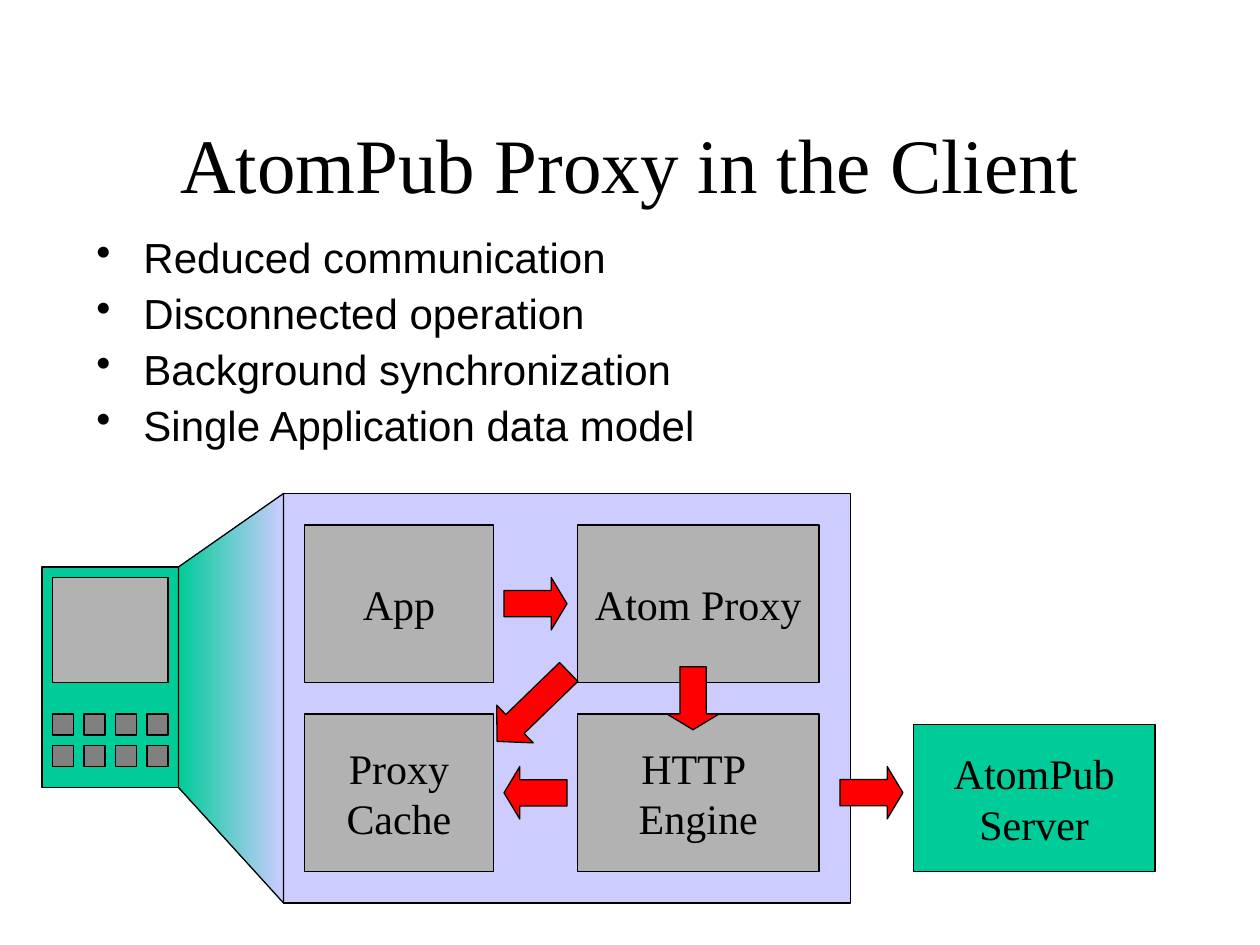
from dataclasses import dataclass

import lxml.etree
import pptx
import pptx.dml.color
import pptx.enum.shapes
import pptx.enum.text
import pptx.oxml.ns
import pptx.util


def rgb(code):
    return pptx.dml.color.RGBColor.from_string(code)


@dataclass(frozen=True)
class Theme:
    ink = rgb("000000")
    green = rgb("00CC99")
    lavender = rgb("CCCCFF")
    grey = rgb("B2B2B2")
    key_grey = rgb("808080")
    red = rgb("FF0000")
    serif = "Times New Roman"
    sans = "Arial"
    title_size = pptx.util.Pt(44)
    text_size = pptx.util.Pt(24)
    outline = pptx.util.Pt(0.75)


THEME = Theme()
PRESET = pptx.enum.shapes.MSO_SHAPE
ALIGN = pptx.enum.text.PP_ALIGN
ANCHOR = pptx.enum.text.MSO_ANCHOR
GRID_CM = 2.54 / 12


def grid(*steps):
    return [pptx.util.Cm(step * GRID_CM) for step in steps]


def style_text(frame, size, font, align):
    for paragraph in frame.paragraphs:
        paragraph.alignment = align
        for run in paragraph.runs:
            run.font.size = size
            run.font.name = font
            run.font.color.rgb = THEME.ink


def outline(shape):
    shape.shadow.inherit = False
    shape.line.color.rgb = THEME.ink
    shape.line.width = THEME.outline


def add_block(shapes, box, fill, preset=PRESET.RECTANGLE):
    block = shapes.add_shape(preset, *grid(*box))
    block.fill.solid()
    block.fill.fore_color.rgb = fill
    outline(block)
    return block


def add_node(shapes, box, label, fill):
    frame = add_block(shapes, box, fill).text_frame
    frame.text = label
    frame.word_wrap = False
    frame.vertical_anchor = ANCHOR.MIDDLE
    style_text(frame, THEME.text_size, THEME.serif, ALIGN.CENTER)


def add_arrow(shapes, box, angle=0, head=0.3):
    arrow = add_block(shapes, box, THEME.red, PRESET.RIGHT_ARROW)
    arrow.adjustments[0] = 0.5
    arrow.adjustments[1] = head
    arrow.rotation = angle


def add_title(shapes, box, wording):
    frame = shapes.add_textbox(*grid(*box)).text_frame
    frame.word_wrap = True
    frame.vertical_anchor = ANCHOR.MIDDLE
    frame.text = wording
    style_text(frame, THEME.title_size, THEME.serif, ALIGN.CENTER)


def add_benefits(shapes, box, benefits):
    frame = shapes.add_textbox(*grid(*box)).text_frame
    frame.word_wrap = True
    frame.text = "\n".join(benefits)
    indent = pptx.util.Cm(0.95)
    for index, benefit in enumerate(frame.paragraphs):
        properties = benefit._p.get_or_add_pPr()
        properties.set("marL", str(indent))
        properties.set("indent", str(-indent))
        bullet = lxml.etree.SubElement(properties, pptx.oxml.ns.qn("a:buChar"))
        bullet.set("char", "•")
        benefit.line_spacing = 0.9
        benefit.space_before = pptx.util.Pt(6 if index else 0)
    style_text(frame, THEME.text_size, THEME.sans, ALIGN.LEFT)


def add_device(shapes, box):
    left, top, width, height = box
    device = shapes.add_group_shape().shapes
    add_block(device, box, THEME.green)
    add_block(device, (left + 1, top + 1, width - 2, 10), THEME.grey)
    for row in range(2):
        for column in range(4):
            key = (left + 1 + 3 * column, top + 14 + 3 * row, 2, 2)
            add_block(device, key, THEME.key_grey)


def add_beam(shapes, device, panel):
    device_right = device[0] + device[2]
    start, *rest = [
        grid(device_right, device[1]),
        grid(panel[0], panel[1]),
        grid(panel[0], panel[1] + panel[3]),
        grid(device_right, device[1] + device[3]),
    ]
    builder = shapes.build_freeform(*start)
    builder.add_line_segments(rest, close=True)
    beam = builder.convert_to_shape()
    beam.fill.gradient()
    beam.fill.gradient_angle = 180
    for stop, color in zip(beam.fill.gradient_stops, (THEME.lavender, THEME.green)):
        stop.color.rgb = color
    outline(beam)


def add_client(shapes, box):
    left, top, width, height = box
    add_block(shapes, box, THEME.lavender)
    upper, lower = top + 3, top + 21
    near, far = left + 2, left + 28
    add_node(shapes, (near, upper, 18, 15), "App", THEME.grey)
    add_node(shapes, (far, upper, 23, 15), "Atom Proxy", THEME.grey)
    add_node(shapes, (near, lower, 18, 15), "Proxy\nCache", THEME.grey)
    add_node(shapes, (far, lower, 23, 15), "HTTP \vEngine", THEME.grey)
    add_arrow(shapes, (left + 21, top + 8, 6, 5))
    add_arrow(shapes, (left + 36, top + 17, 6, 5), angle=90)
    add_arrow(shapes, (left + 19, top + 17.8, 9.5, 5), angle=135.9, head=0.475)
    add_arrow(shapes, (left + 21, top + 26, 6, 5), angle=180)
    add_arrow(shapes, (left + width - 1, top + 26, 6, 5))


def main():
    deck = pptx.Presentation()
    deck.slide_width, deck.slide_height = grid(120, 90)
    shapes = deck.slides.add_slide(deck.slide_layouts[6]).shapes
    device, client = (4, 54, 13, 21), (27, 47, 54, 39)

    add_title(shapes, (9, 8, 102, 15), "AtomPub Proxy in the Client")
    add_benefits(shapes, (8, 22, 102, 23), [
        "Reduced communication",
        "Disconnected operation",
        "Background synchronization",
        "Single Application data model",
    ])
    add_device(shapes, device)
    add_client(shapes, client)
    add_beam(shapes, device, client)
    add_node(shapes, (87, 69, 23, 14), "AtomPub\vServer", THEME.green)
    deck.save("out.pptx")


if __name__ == "__main__":
    main()
